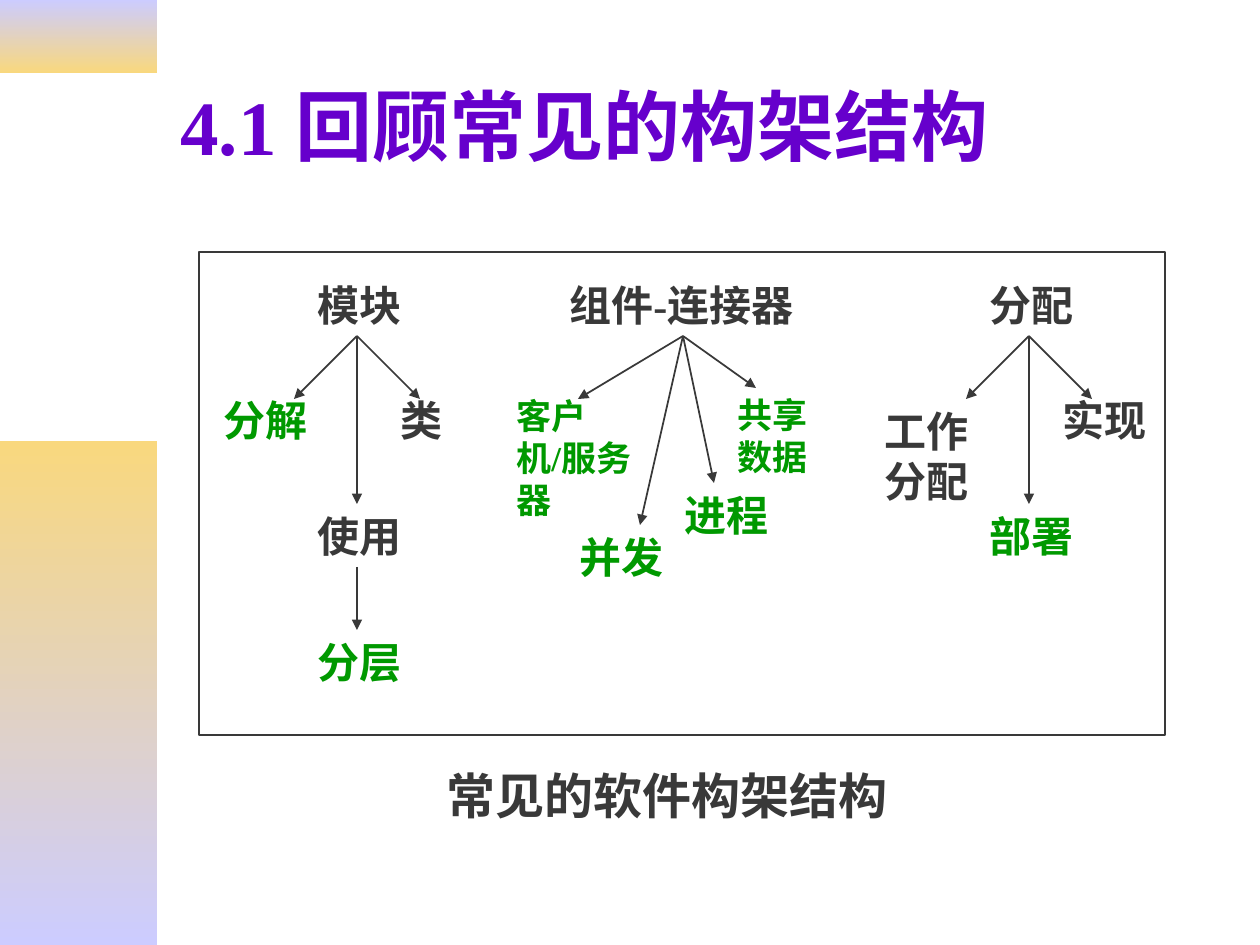
from pptx import Presentation
from pptx.dml.color import RGBColor
from pptx.enum.shapes import MSO_CONNECTOR, MSO_SHAPE
from pptx.enum.text import MSO_ANCHOR, MSO_AUTO_SIZE, PP_ALIGN
from pptx.oxml.ns import qn
from pptx.util import Pt
from lxml.etree import SubElement

PX = 914400 // 126
FONT = "Times New Roman"
DARK, GREEN, PURPLE = "393939", "009900", "6600CC"
LILAC, GOLD = "CCCCFF", "F9D87E"

# Side bars: top, height, upper colour, lower colour
BAR_W = 157
BARS = [(0, 73, LILAC, GOLD), (441, 504, GOLD, LILAC)]

TITLE = ("4.1 回顾常见的构架结构", 168, 42, 1071, 166, 44, PURPLE)
CAPTION = ("常见的软件构架结构", 179, 766, 976, 63, 28, DARK)
FRAME = (199, 252, 966, 483)

# Labels: text, left, top, width, height, size, colour
LABELS = [
    ("模块", 305, 273, 147, 63, 24, DARK),
    ("分解", 211, 388, 147, 63, 24, GREEN),
    ("类", 388, 388, 95, 63, 24, DARK),
    ("使用", 305, 504, 116, 63, 24, DARK),
    ("分层", 305, 630, 136, 63, 24, GREEN),
    ("组件-连接器", 557, 273, 252, 113, 24, DARK),
    ("客户机/服务器", 504, 388, 147, 139, 20, GREEN),
    ("共享数据", 725, 387, 105, 97, 20, GREEN),
    ("并发", 567, 525, 116, 63, 24, GREEN),
    ("进程", 672, 483, 136, 63, 24, GREEN),
    ("分配", 977, 273, 147, 63, 24, DARK),
    ("工作分配", 872, 399, 126, 113, 24, DARK),
    ("实现", 1050, 388, 116, 63, 24, DARK),
    ("部署", 977, 504, 116, 63, 24, GREEN),
]

# Arrows: each start point with its end points
ARROWS = {
    (357, 336): [(294, 399), (357, 504), (420, 399)],
    (357, 567): [(357, 630)],
    (683, 336): [(578, 399), (640, 525), (756, 388), (714, 483)],
    (1029, 336): [(966, 399), (1029, 504), (1092, 399)],
}


def rgb(value):
    return RGBColor.from_string(value)


def emu(*lengths):
    return [n * PX for n in lengths]


def add_rect(s, *box):
    sp = s.shapes.add_shape(MSO_SHAPE.RECTANGLE, *emu(*box))
    sp.shadow.inherit = False
    return sp


def add_bar(s, top, height, upper, lower):
    sp = add_rect(s, 0, top, BAR_W, height)
    sp.line.fill.background()
    sp.fill.gradient()
    sp.fill.gradient_angle = 270
    for stop, color in zip(sp.fill.gradient_stops, (upper, lower)):
        stop.color.rgb = rgb(color)


def add_text(s, text, left, top, width, height, size, color):
    tf = s.shapes.add_textbox(*emu(left, top, width, height)).text_frame
    tf.word_wrap = True
    p = tf.paragraphs[0]
    r = p.add_run()
    r.text = text
    r.font.name, r.font.size, r.font.bold = FONT, Pt(size), True
    r.font.color.rgb = rgb(color)
    return tf


def add_arrow(s, start, end):
    line = s.shapes.add_connector(MSO_CONNECTOR.STRAIGHT, *emu(*start, *end))
    line.line.color.rgb = rgb(DARK)
    line.line.width = Pt(1)
    SubElement(line.line._get_or_add_ln(), qn("a:tailEnd"), type="triangle")
    SubElement(line._element.spPr, qn("a:effectLst"))


prs = Presentation()
prs.slide_width, prs.slide_height = emu(1260, 945)
s = prs.slides.add_slide(prs.slide_layouts[6])

# Side bars, title and caption
for bar in BARS:
    add_bar(s, *bar)
add_text(s, *TITLE).vertical_anchor = MSO_ANCHOR.MIDDLE
p = add_text(s, *CAPTION).paragraphs[0]
p.alignment = PP_ALIGN.CENTER
p.line_spacing = 0.9

# Diagram frame
frame = add_rect(s, *FRAME)
frame.fill.background()
frame.line.color.rgb = rgb(DARK)
frame.line.width = Pt(1)

# Labels and arrows
for label in LABELS:
    add_text(s, *label).auto_size = MSO_AUTO_SIZE.SHAPE_TO_FIT_TEXT
for start, ends in ARROWS.items():
    for end in ends:
        add_arrow(s, start, end)

prs.save("out.pptx")
